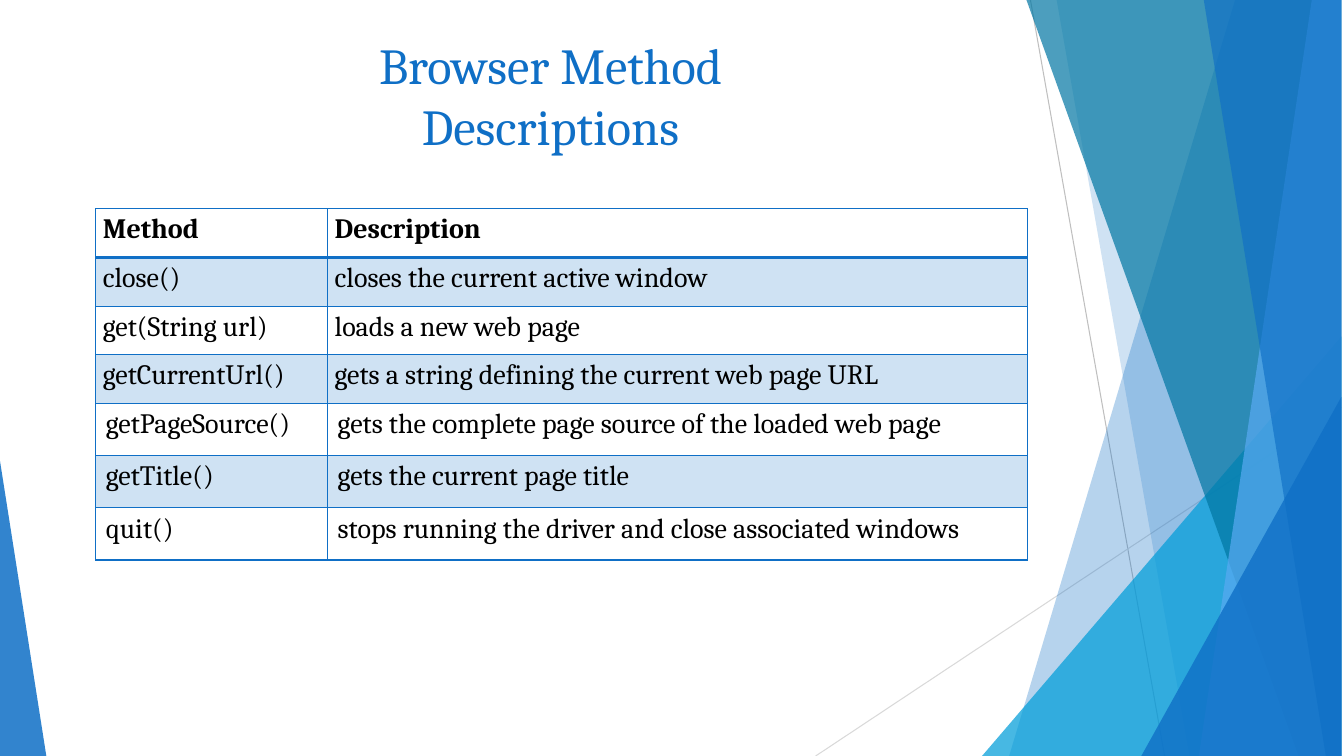
"""Build the slide that describes the browser methods in a table."""
from typing import NamedTuple

from lxml import etree
from pptx import Presentation
from pptx import util as u
from pptx.dml.color import RGBColor
from pptx.enum import shapes, text
from pptx.oxml.ns import qn

WIDTH, HEIGHT = u.Inches(13.33), u.Inches(7.5)
FONT = "Cambria"
BLUE = RGBColor(0x0F, 0x6F, 0xC6)
CYAN = RGBColor(0x00, 0x9D, 0xD9)
TEAL = RGBColor(0x00, 0x76, 0xA3)
SKY = RGBColor(0x59, 0xAA, 0xF2)
BLACK = RGBColor(0, 0, 0)
GRAY = RGBColor(0xBF, 0xBF, 0xBF)
PALE_GRAY = RGBColor(0xD9, 0xD9, 0xD9)
RIGHT = 99.8
COLUMNS = (17.25, 52.06)
TALL_FROM = 4


class Ray(NamedTuple):
    start: tuple[float, float]
    end: tuple[float, float]
    color: RGBColor


class Band(NamedTuple):
    top_left: float
    bottom_left: float
    bottom_right: float
    color: RGBColor
    opacity: int


class Wedge(NamedTuple):
    left: float
    top: float
    right: float
    apex: int
    color: RGBColor
    opacity: int


class Method(NamedTuple):
    name: str
    description: str


RAYS = (
    Ray((76.67, 0), (86.65, 100), GRAY),
    Ray((RIGHT, 53.87), (60.69, 100), PALE_GRAY),
)
FACETS = (
    Band(91.9, 75.09, RIGHT, BLUE, 30),
    Band(78.62, 88.52, RIGHT, BLUE, 20),
    Wedge(73.07, 44.53, RIGHT, 1, CYAN, 72),
    Band(76.37, 96.62, RIGHT, TEAL, 70),
    Band(97.6, 89.2, RIGHT, SKY, 70),
    Band(89.57, 98.65, RIGHT, BLUE, 65),
    Wedge(84.92, 52.53, RIGHT, 1, BLUE, 80),
    Wedge(-0.2, 58.67, 3.45, 0, BLUE, 85),
)
METHODS = (
    Method("Method", "Description"),
    Method("close()", "closes the current active window"),
    Method("get(String url)", "loads a new web page"),
    Method("getCurrentUrl()", "gets a string defining the current web page URL"),
    Method("getPageSource()", "gets the complete page source of the loaded web page"),
    Method("getTitle()", "gets the current page title"),
    Method("quit()", "stops running the driver and close associated windows"),
)


def x(share: float) -> int:
    return round(WIDTH * share / 100)


def y(share: float) -> int:
    return round(HEIGHT * share / 100)


def set_opacity(properties, opacity: int) -> None:
    color = properties.find(qn("a:solidFill"))[0]
    etree.SubElement(color, qn("a:alpha"), val=str(opacity * 1000))


def draw_ray(s, ray: Ray) -> None:
    line = s.shapes.add_connector(
        shapes.MSO_CONNECTOR.STRAIGHT,
        x(ray.start[0]), y(ray.start[1]), x(ray.end[0]), y(ray.end[1]))
    line.line.color.rgb = ray.color
    line.line.width = u.Pt(0.75)
    etree.SubElement(line._element.spPr, qn("a:effectLst"))


def draw_facet(s, facet: Band | Wedge) -> None:
    if isinstance(facet, Band):
        outline = s.shapes.build_freeform(x(facet.top_left), 0)
        outline.add_line_segments((
            (x(RIGHT), 0), (x(facet.bottom_right), HEIGHT),
            (x(facet.bottom_left), HEIGHT)), close=True)
        sp = outline.convert_to_shape()
    else:
        sp = s.shapes.add_shape(
            shapes.MSO_SHAPE.ISOSCELES_TRIANGLE, x(facet.left), y(facet.top),
            x(facet.right - facet.left), y(100 - facet.top))
        sp.adjustments[0] = facet.apex
    sp.shadow.inherit = False
    sp.line.fill.background()
    sp.fill.solid()
    sp.fill.fore_color.rgb = facet.color
    set_opacity(sp._element.spPr, facet.opacity)


def draw_title(s) -> None:
    tf = s.shapes.add_textbox(x(8.03), y(3.87), x(65.87), y(15.6)).text_frame
    tf.word_wrap = True
    p = tf.paragraphs[0]
    p.text = "Browser Method\vDescriptions"
    p.alignment = text.PP_ALIGN.CENTER
    p.font.name, p.font.size, p.font.color.rgb = FONT, u.Pt(36), BLUE


def set_borders(properties, row: int) -> None:
    widths = {"L": 1, "R": 1, "T": 2 if row == 1 else 1, "B": 2 if row == 0 else 1}
    for side, width in widths.items():
        line = etree.SubElement(properties, qn(f"a:ln{side}"), w=str(u.Pt(width)))
        fill = etree.SubElement(line, qn("a:solidFill"))
        etree.SubElement(fill, qn("a:srgbClr"), val=str(BLUE))


def fill_cell(cell, words: str, row: int) -> None:
    p = cell.text_frame.paragraphs[0]
    p.text = words
    p.font.name, p.font.size, p.font.color.rgb = FONT, u.Pt(20), BLACK
    p.font.bold = row == 0
    if row < TALL_FROM:
        cell.margin_left = cell.margin_right = u.Inches(0.07)
        cell.margin_top = cell.margin_bottom = 0
        p.line_spacing, p.space_after = 1.15, u.Pt(10)
    properties = cell._tc.get_or_add_tcPr()
    set_borders(properties, row)
    if row % 2:
        cell.fill.solid()
        cell.fill.fore_color.rgb = BLUE
        set_opacity(properties, 20)
    else:
        cell.fill.background()


def draw_methods(s) -> None:
    heights = [6.45 if row < TALL_FROM else 6.9 for row in range(len(METHODS))]
    table = s.shapes.add_table(
        len(METHODS), len(COLUMNS), x(7.13), y(27.6),
        x(sum(COLUMNS)), y(sum(heights))).table
    table.first_row = table.horz_banding = False
    for column, share in zip(table.columns, COLUMNS):
        column.width = x(share)
    for row, (method, height) in enumerate(zip(METHODS, heights)):
        table.rows[row].height = y(height)
        for column, words in enumerate(method):
            fill_cell(table.cell(row, column), words, row)


def main() -> None:
    prs = Presentation()
    prs.slide_width, prs.slide_height = WIDTH, HEIGHT
    s = prs.slides.add_slide(prs.slide_layouts[6])
    for ray in RAYS:
        draw_ray(s, ray)
    for facet in FACETS:
        draw_facet(s, facet)
    draw_title(s)
    draw_methods(s)
    prs.save("out.pptx")


if __name__ == "__main__":
    main()
